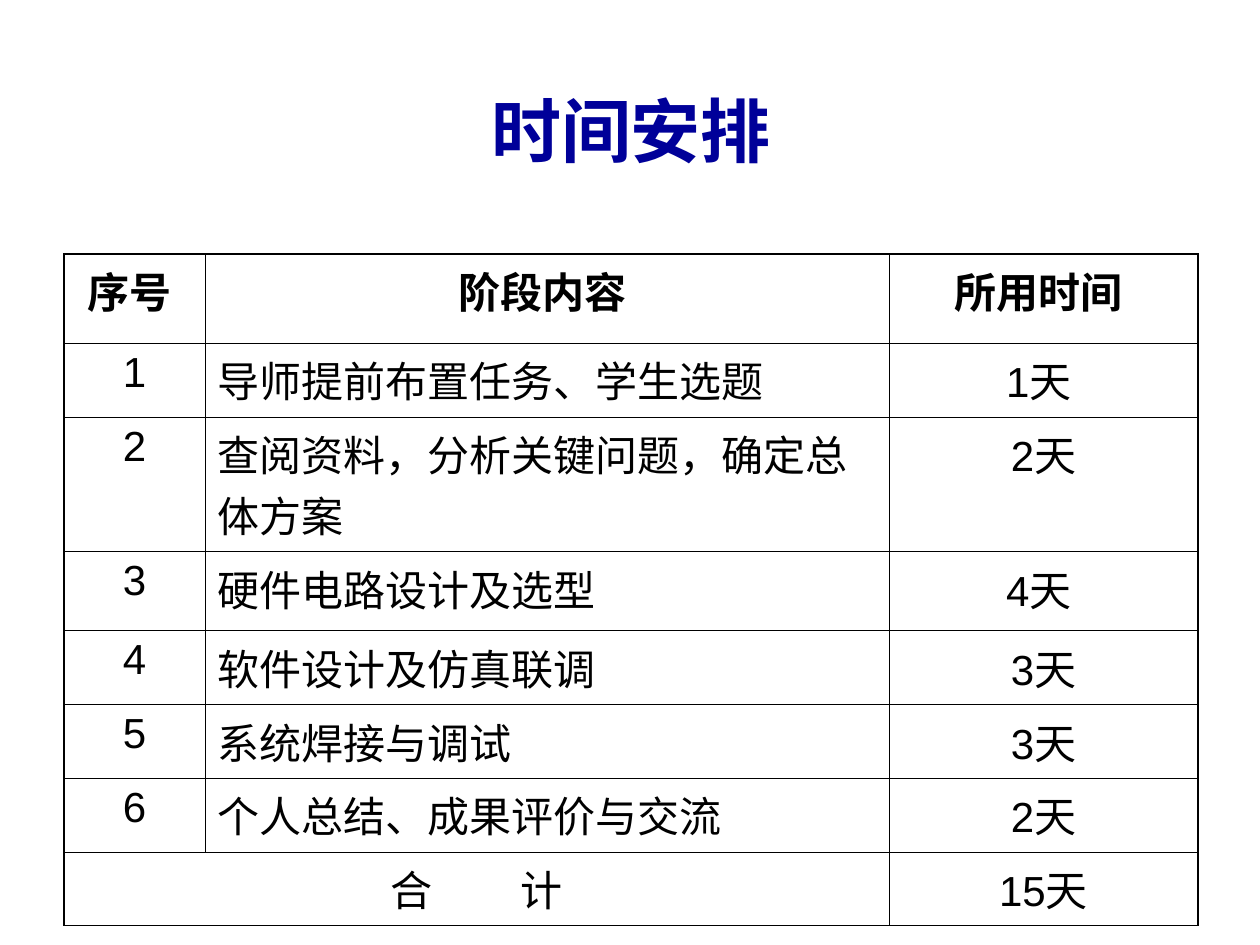
from lxml.etree import SubElement
from pptx import Presentation
from pptx.dml.color import RGBColor
from pptx.enum.text import MSO_ANCHOR, MSO_AUTO_SIZE, PP_ALIGN
from pptx.oxml.ns import qn
from pptx.util import Emu, Pt

PX_PER_INCH = 126
THIN, THICK = Pt(0.45), Pt(1.08)
COLUMN_WIDTHS = [141, 684, 309]
ROW_HEIGHTS = [89, 74, 134, 79, 74, 73, 74, 73]
HEADINGS = ["序号 ", "阶段内容 ", "所用时间 "]
STAGES = [
    ("导师提前布置任务、学生选题", "1天 "),
    ("查阅资料，分析关键问题，确定总体方案", "2天"),
    ("硬件电路设计及选型", "4天 "),
    ("软件设计及仿真联调", "3天"),
    ("系统焊接与调试", "3天"),
    ("个人总结、成果评价与交流", "2天"),
]
TOTAL_LABEL, TOTAL_TIME = "合计", "15天"
TOTAL_LABEL_GAP = 50  # points between the two characters


def px(value):
    return Emu(round(value * 914400 / PX_PER_INCH))


def color(hex_string):
    return RGBColor.from_string(hex_string)


def style_paragraph(paragraph, size, hex_color, bold, alignment):
    paragraph.alignment = alignment
    font = paragraph.font
    font.name, font.size, font.bold = "Arial", Pt(size), bold
    font.color.rgb = color(hex_color)


def add_title(slide, text):
    title = slide.shapes.title
    title.left, title.top, title.width, title.height = map(px, (64, 35, 1134, 189))
    frame = title.text_frame
    frame.text = text
    frame.auto_size = MSO_AUTO_SIZE.NONE
    frame.vertical_anchor = MSO_ANCHOR.MIDDLE
    style_paragraph(frame.paragraphs[0], 40, "000099", True, PP_ALIGN.CENTER)


def set_borders(cell, widths):
    """Draw black cell borders; widths maps L, R, T and B, in that order."""
    properties = cell._tc.get_or_add_tcPr()
    for side, width in widths.items():
        line = SubElement(properties, qn(f"a:ln{side}"), w=str(width))
        fill = SubElement(line, qn("a:solidFill"))
        SubElement(fill, qn("a:srgbClr"), val="000000")


def fill_cell(cell, text, bold, alignment):
    paragraph = cell.text_frame.paragraphs[0]
    paragraph.text = text
    paragraph.space_before = Pt(6)
    style_paragraph(paragraph, 24, "000000", bold, alignment)


def spread_total_label(cell):
    """Widen the gap after the first character with character spacing."""
    paragraph = cell.text_frame.paragraphs[0]
    first, last = TOTAL_LABEL
    paragraph.runs[0].text = first
    paragraph.runs[0].font._element.set("spc", str(TOTAL_LABEL_GAP * 100))
    paragraph.add_run().text = last


def add_schedule(slide):
    rows = [HEADINGS]
    rows += [(str(number), *stage) for number, stage in enumerate(STAGES, 1)]
    rows.append((TOTAL_LABEL, "", TOTAL_TIME))
    last_row, last_column = len(rows) - 1, len(HEADINGS) - 1

    frame = slide.shapes.add_table(
        len(rows), len(HEADINGS), px(64), px(254),
        px(sum(COLUMN_WIDTHS)), px(sum(ROW_HEIGHTS)))
    table = frame.table
    table.first_row = table.horz_banding = False
    for column, width in zip(table.columns, COLUMN_WIDTHS):
        column.width = px(width)
    for row, height in zip(table.rows, ROW_HEIGHTS):
        row.height = px(height)

    for r, texts in enumerate(rows):
        for c, text in enumerate(texts):
            cell = table.cell(r, c)
            is_stage_name = c == 1 and 0 < r < last_row
            alignment = PP_ALIGN.LEFT if is_stage_name else PP_ALIGN.CENTER
            if text:
                fill_cell(cell, text, r == 0, alignment)
            set_borders(cell, {
                "L": THICK if c == 0 else THIN,
                "R": THICK if c == last_column else THIN,
                "T": THICK if r == 0 else THIN,
                "B": THICK if r == last_row else THIN,
            })
            cell.fill.background()

    total_cell = table.cell(last_row, 0)
    total_cell.merge(table.cell(last_row, 1))
    spread_total_label(total_cell)


def main():
    presentation = Presentation()
    presentation.slide_width, presentation.slide_height = px(1260), px(945)
    slide = presentation.slides.add_slide(presentation.slide_layouts[5])
    add_title(slide, "时间安排")
    add_schedule(slide)
    presentation.save("out.pptx")


if __name__ == "__main__":
    main()
